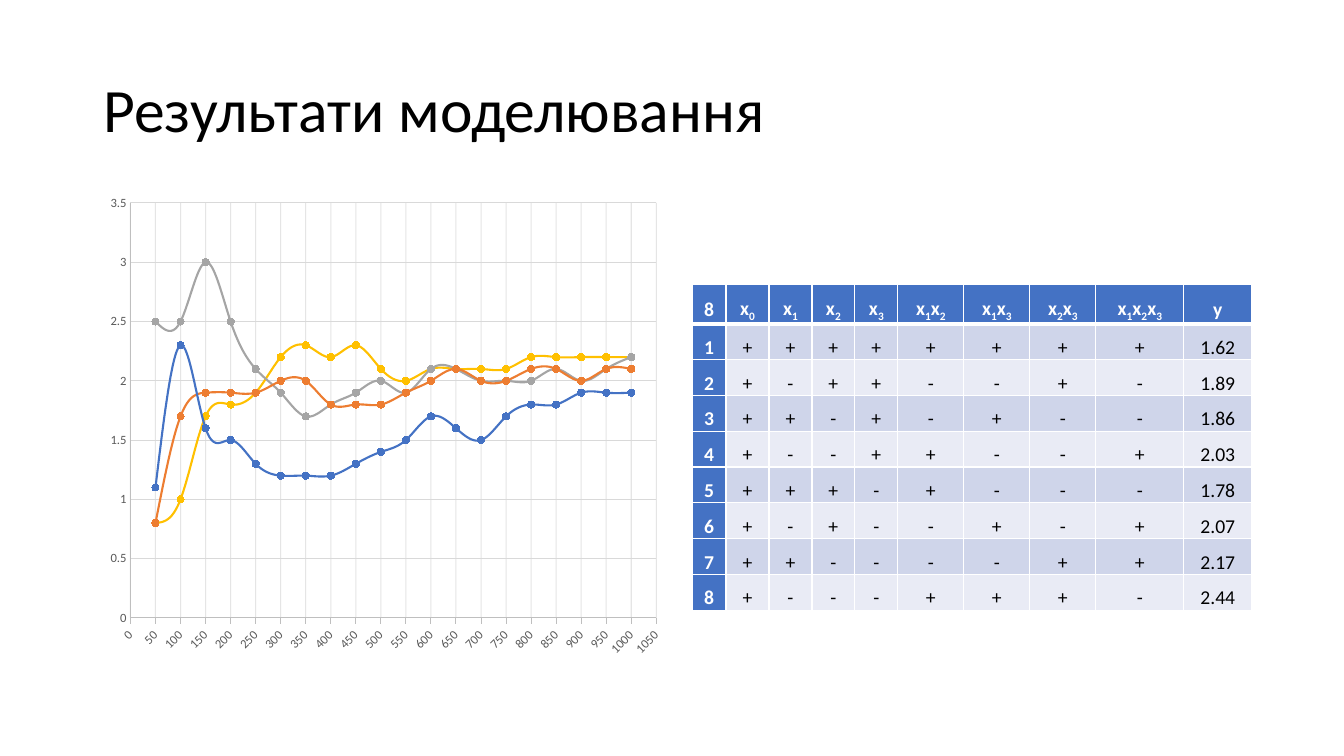
from math import prod

from lxml import etree
from pptx import Presentation
from pptx.chart.data import XyChartData
from pptx.dml.color import RGBColor
from pptx.enum import chart as ce, text
from pptx.oxml import ns
from pptx.util import Pt

PX = 914400 / 100.8
THEME = {
    "font": "Calibri", "black": "000000", "white": "FFFFFF", "head": "4472C4",
    "bands": ("CFD5EA", "E9EBF5"),
    "lines": ("4472C4", "ED7D31", "A5A5A5", "FFC000"),
    "label": "595959", "axis": "BFBFBF", "grid": "D9D9D9",
    "title": 44, "cell": 14, "tick": 9,
}


def px(n):
    return round(n * PX)


def style(font, size, color, bold=False):
    font.name, font.size, font.bold = THEME["font"], Pt(size), bold
    font.color.rgb = RGBColor.from_string(color)


prs = Presentation()
prs.slide_width, prs.slide_height = px(1344), px(756)
slide = prs.slides.add_slide(prs.slide_layouts[5])

# Title
title = slide.shapes.title
title.left, title.top, title.width, title.height = map(px, (93, 40, 1159, 146))
title.text_frame.text = "Результати моделювання"
title.text_frame.vertical_anchor = text.MSO_ANCHOR.MIDDLE
para = title.text_frame.paragraphs[0]
para.alignment, para.line_spacing = text.PP_ALIGN.LEFT, 0.9
style(para.font, THEME["title"], THEME["black"])

# Chart data: one point every 50 steps
RUNS = (
    (1.1, 2.3, 1.6, 1.5, 1.3, 1.2, 1.2, 1.2, 1.3, 1.4,
     1.5, 1.7, 1.6, 1.5, 1.7, 1.8, 1.8, 1.9, 1.9, 1.9),
    (0.8, 1.7, 1.9, 1.9, 1.9, 2, 2, 1.8, 1.8, 1.8,
     1.9, 2, 2.1, 2, 2, 2.1, 2.1, 2, 2.1, 2.1),
    (2.5, 2.5, 3, 2.5, 2.1, 1.9, 1.7, 1.8, 1.9, 2,
     1.9, 2.1, 2.1, 2, 2, 2, 2.1, 2, 2.1, 2.2),
    (0.8, 1, 1.7, 1.8, 1.9, 2.2, 2.3, 2.2, 2.3, 2.1,
     2, 2.1, 2.1, 2.1, 2.1, 2.2, 2.2, 2.2, 2.2, 2.2),
)
STEP = 50
data = XyChartData()
for n, run in enumerate(RUNS, 1):
    line = data.add_series(f"Series {n}")
    for k, y in enumerate(run, 1):
        line.add_data_point(k * STEP, y)

# Chart
chart = slide.shapes.add_chart(
    ce.XL_CHART_TYPE.XY_SCATTER_SMOOTH, px(99), px(186), px(574), px(480), data).chart
chart.has_legend = chart.has_title = False
style(chart.font, 10, THEME["black"])
plot = chart.plots[0]
plot.vary_by_categories = False
for line, color in zip(plot.series, THEME["lines"]):
    rgb = RGBColor.from_string(color)
    line.format.line.color.rgb, line.format.line.width = rgb, Pt(1.5)
    mark = line.marker
    mark.style, mark.size = ce.XL_MARKER_STYLE.CIRCLE, 5
    mark.format.fill.solid()
    mark.format.fill.fore_color.rgb = mark.format.line.color.rgb = rgb
    line._element.find(ns.qn("c:smooth")).set("val", "1")

# Axes
for axis, top, unit, tick in (
        (chart.category_axis, 1050, STEP, ce.XL_TICK_MARK.OUTSIDE),
        (chart.value_axis, 3.5, 0.5, ce.XL_TICK_MARK.NONE)):
    axis.minimum_scale, axis.maximum_scale, axis.major_unit = 0, top, unit
    axis.major_tick_mark, axis.minor_tick_mark = tick, ce.XL_TICK_MARK.NONE
    axis.has_major_gridlines = True
    for edge, color in ((axis.format.line, "axis"),
                        (axis.major_gridlines.format.line, "grid")):
        edge.color.rgb, edge.width = RGBColor.from_string(THEME[color]), Pt(0.75)
    style(axis.tick_labels.font, THEME["tick"], THEME["label"])
    axis.tick_labels.number_format = "General"
    axis.tick_labels.number_format_is_linked = False
across = chart.category_axis
across._element.find(ns.qn("c:txPr")).find(ns.qn("a:bodyPr")).set("rot", "-2700000")
tint = next(across.major_gridlines._xAx.find(ns.qn("c:majorGridlines")).iter(ns.qn("a:srgbClr")))
etree.SubElement(tint, ns.qn("a:alpha")).set("val", "67000")

# Table data: each sign is the product of its factors' signs
TERMS = ("0", "1", "2", "3", "12", "13", "23", "123")
RESULTS = ("1.62", "1.89", "1.86", "2.03", "1.78", "2.07", "2.17", "2.44")
rows = [["8", *TERMS, "y"]]
for n, y in enumerate(RESULTS):
    sign = {"0": 1} | {str(k + 1): -1 if n >> k & 1 else 1 for k in range(3)}
    marks = ["+" if prod(sign[f] for f in term) > 0 else "-" for term in TERMS]
    rows.append([str(n + 1), *marks, y])

# Table
WIDTHS = (34, 43, 43, 43, 43, 66, 66, 66, 88, 68)
frame = slide.shapes.add_table(len(rows), len(WIDTHS), px(692), px(284), px(560), px(283))
table = frame.table
for col, width in zip(table.columns, WIDTHS):
    col.width = px(width)
for r, row in enumerate(rows):
    table.rows[r].height = px(25 if r else 29)
    for c, value in enumerate(row):
        cell = table.cell(r, c)
        head = r == 0 or c == 0
        cell.margin_left = cell.margin_right = px(7)
        cell.margin_top = cell.margin_bottom = 0
        cell.vertical_anchor = text.MSO_ANCHOR.MIDDLE
        cell.fill.solid()
        cell.fill.fore_color.rgb = RGBColor.from_string(
            THEME["head"] if head else THEME["bands"][(r - 1) % 2])

        # Text, with indices set as subscripts
        para = cell.text_frame.paragraphs[0]
        para.alignment, para.line_spacing = text.PP_ALIGN.CENTER, 1.5
        style(para.font, THEME["cell"], THEME["white" if head else "black"], head)
        if r == 0 and value in TERMS:
            for digit in value:
                para.add_run().text = "x"
                sub = para.add_run()
                sub.text = digit
                sub.font._element.set("baseline", "-25000")
        else:
            para.add_run().text = value

        # White borders, thicker below the header
        for k, side in enumerate("LRTB"):
            thick = (r, side) in ((0, "B"), (1, "T"))
            edge = etree.Element(ns.qn(f"a:ln{side}"), w=str(Pt(3 if thick else 1)))
            fill = etree.SubElement(edge, ns.qn("a:solidFill"))
            etree.SubElement(fill, ns.qn("a:srgbClr")).set("val", THEME["white"])
            cell._tc.tcPr.insert(k, edge)

prs.save("out.pptx")
